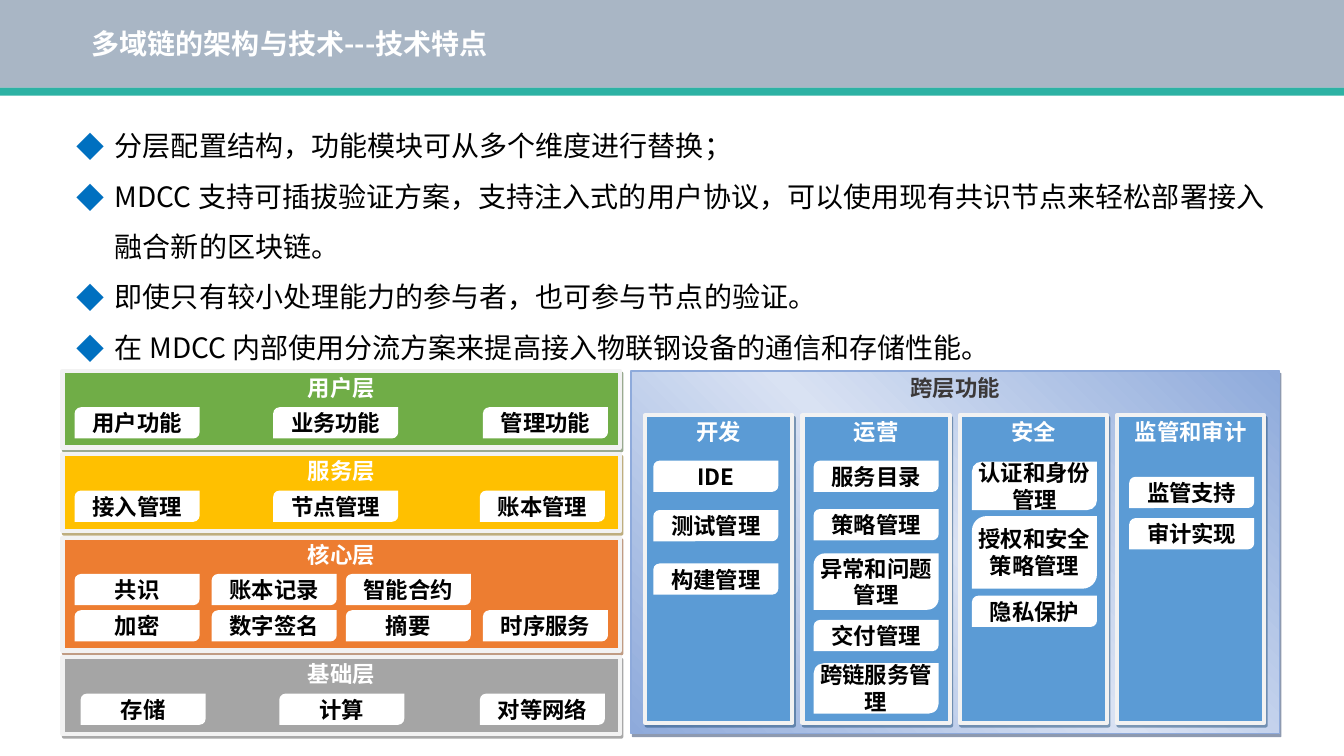
from lxml.etree import SubElement
from pptx import Presentation
from pptx.dml.color import RGBColor
from pptx.enum.shapes import MSO_SHAPE
from pptx.enum.text import MSO_ANCHOR, MSO_AUTO_SIZE, PP_ALIGN
from pptx.oxml.ns import qn
from pptx.util import Inches, Pt

FONT = "Noto Sans CJK SC"
COLORS = {
    "band": "556F8C", "rule": "2DB2A4", "bullet": "0070C0", "white": "FFFFFF",
    "black": "000000", "edge": "F2F2F2", "user": "70AD47", "service": "FFC000",
    "core": "ED7D31", "base": "A5A5A5", "tower": "5B9BD5", "cross": "8EAADB",
    "cross_light": "D9E2F3", "cross_text": "3B3838",
}
SHADOWS = {"user": "375623", "service": "7F5F00", "core": "823B0B",
           "base": "525252", "tower": "1F4D78", "cross": "1F3763"}

TITLE = "多域链的架构与技术---技术特点"
BULLETS = [
    "分层配置结构，功能模块可从多个维度进行替换；",
    "MDCC 支持可插拔验证方案，支持注入式的用户协议，可以使用现有共识节点来轻松部署接入融合新的区块链。",
    "即使只有较小处理能力的参与者，也可参与节点的验证。",
    "在 MDCC 内部使用分流方案来提高接入物联钢设备的通信和存储性能。",
]
# name, colour key, height, tile column lefts, tile rows
LAYERS = [
    ("用户层", "user", 0.76, (0.74, 2.71, 4.79), [("用户功能", "业务功能", "管理功能")]),
    ("服务层", "service", 0.76, (0.74, 2.71, 4.76), [("接入管理", "节点管理", "账本管理")]),
    ("核心层", "core", 1.12, (0.74, 2.1, 3.43, 4.79),
     [("共识", "账本记录", "智能合约"), ("加密", "数字签名", "摘要", "时序服务")]),
    ("基础层", "base", 0.76, (0.8, 2.77, 4.76), [("存储", "计算", "对等网络")]),
]
TILE_WIDTH, TILE_HEIGHT = 1.24, 0.31
# name, tile inset, tiles as (label, top, height)
TOWERS = [
    ("开发", 0.08, [("IDE", 4.57, TILE_HEIGHT), ("测试管理", 5.06, TILE_HEIGHT),
                  ("构建管理", 5.59, TILE_HEIGHT)]),
    ("运营", 0.11, [("服务目录", 4.57, TILE_HEIGHT), ("策略管理", 5.05, TILE_HEIGHT),
                  ("异常和问题管理", 5.49, 0.56), ("交付管理", 6.15, TILE_HEIGHT),
                  ("跨链服务管理", 6.58, 0.5)]),
    ("安全", 0.12, [("认证和身份管理", 4.58, 0.48), ("授权和安全策略管理", 5.12, 0.72),
                  ("隐私保护", 5.91, TILE_HEIGHT)]),
    ("监管和审计", 0.12, [("监管支持", 4.73, TILE_HEIGHT), ("审计实现", 5.14, TILE_HEIGHT)]),
]
SLIDE_WIDTH, SLIDE_HEIGHT = 13.33, 7.5
BAND_HEIGHT, RULE_HEIGHT = 0.87, 0.08
DIAGRAM_TOP, LAYER_LEFT, LAYER_WIDTH, LAYER_GAP = 3.68, 0.62, 5.53, 0.067
TILE_OFFSET, TILE_PITCH = 0.36, 0.36
TOWER_LEFT, TOWER_TOP, TOWER_WIDTH, TOWER_HEIGHT, TOWER_PITCH = 6.4, 4.12, 1.46, 3.05, 1.56


def rgb(name):
    return RGBColor.from_string(COLORS[name])


def move(shape, left, top, width, height):
    shape.left, shape.top = Inches(left), Inches(top)
    shape.width, shape.height = Inches(width), Inches(height)


def add_span(para, text, size, color, bold=False):
    span = para.add_run()
    span.text = text
    span.font.size, span.font.bold, span.font.name = Pt(size), bold, FONT
    span.font.color.rgb = rgb(color)
    SubElement(span.font._element, qn("a:ea"), typeface=FONT)


def add_box(slide, kind, place, fill):
    box = slide.shapes.add_shape(kind, *(Inches(length) for length in place))
    box.fill.solid()
    box.fill.fore_color.rgb = rgb(fill)
    box.line.fill.background()
    box.shadow.inherit = False
    return box


def label(box, text, color, anchor, side, edge):
    frame = box.text_frame
    frame.word_wrap, frame.vertical_anchor = True, anchor
    frame.margin_left = frame.margin_right = Inches(side)
    frame.margin_top = frame.margin_bottom = Inches(edge)
    frame.paragraphs[0].alignment = PP_ALIGN.CENTER
    add_span(frame.paragraphs[0], text, 16, color, True)


def add_panel(slide, text, place, fill, line="edge", width=3, color="white"):
    """Add a rectangle with its heading at the top and a hard shadow."""
    panel = add_box(slide, MSO_SHAPE.RECTANGLE, place, fill)
    panel.line.color.rgb, panel.line.width = rgb(line), Pt(width)
    effects = panel._element.spPr.find(qn("a:effectLst"))
    shadow = SubElement(effects, qn("a:outerShdw"), blurRad="0", dist=str(Pt(2.2)),
                        dir=str(63 * 60000), algn="ctr", rotWithShape="0")
    tint = SubElement(shadow, qn("a:srgbClr"), val=SHADOWS[fill])
    SubElement(tint, qn("a:alpha"), val="50000")
    label(panel, text, color, MSO_ANCHOR.TOP, 0.07, 0.03)
    return panel


def add_tile(slide, text, left, top, height=TILE_HEIGHT):
    tile = add_box(slide, MSO_SHAPE.ROUND_2_DIAG_RECTANGLE,
                   (left, top, TILE_WIDTH, height), "white")
    tile.adjustments[0] = 0.2
    label(tile, text, "black", MSO_ANCHOR.MIDDLE, 0, 0)


def add_header(slide):
    rule = add_box(slide, MSO_SHAPE.RECTANGLE,
                   (0, BAND_HEIGHT, SLIDE_WIDTH, RULE_HEIGHT), "rule")
    band = add_box(slide, MSO_SHAPE.RECTANGLE, (0, 0, SLIDE_WIDTH, BAND_HEIGHT), "band")
    tint = band._element.spPr.find(qn("a:solidFill"))[0]
    SubElement(tint, qn("a:alpha"), val="50000")
    for position, bar in enumerate((rule, band), start=2):  # behind the title
        slide.shapes._spTree.insert(position, bar._element)

    title = slide.shapes.title
    move(title, 0.81, 0.25, 11.5, 0.62)
    frame = title.text_frame
    frame.vertical_anchor, frame.auto_size = MSO_ANCHOR.TOP, MSO_AUTO_SIZE.NONE
    para = frame.paragraphs[0]
    para.alignment, para.line_spacing = PP_ALIGN.LEFT, 0.9
    add_span(para, TITLE, 20, "white", True)


def add_bullets(slide):
    body = slide.placeholders[1]
    move(body, 0.66, 1.06, 12.02, 2.63)
    frame = body.text_frame
    frame.auto_size = MSO_AUTO_SIZE.SHAPE_TO_FIT_TEXT
    for index, text in enumerate(BULLETS):
        para = frame.add_paragraph() if index else frame.paragraphs[0]
        para.line_spacing, para.space_before = 1.5, Pt(0)
        properties = para._p.get_or_add_pPr()
        properties.set("marL", str(Inches(0.38)))
        properties.set("indent", str(-Inches(0.38)))
        tint = SubElement(properties, qn("a:buClr"))
        SubElement(tint, qn("a:srgbClr"), val=COLORS["bullet"])
        SubElement(properties, qn("a:buFont"), typeface=FONT)
        SubElement(properties, qn("a:buChar"), char="◆")
        add_span(para, text, 20, "black")


def add_layers(slide):
    top = DIAGRAM_TOP
    for name, fill, height, columns, rows in LAYERS:
        add_panel(slide, name, (LAYER_LEFT, top, LAYER_WIDTH, height), fill)
        for row, names in enumerate(rows):
            for left, text in zip(columns, names):
                add_tile(slide, text, left, top + TILE_OFFSET + row * TILE_PITCH)
        top += height + LAYER_GAP


def add_towers(slide):
    cross = add_panel(slide, "跨层功能", (6.26, DIAGRAM_TOP, 6.43, 3.6),
                      "cross", "cross", 1, "cross_text")
    cross.fill.gradient()
    cross.fill.gradient_angle = 45
    stops = cross.fill._xPr.find(qn("a:gradFill")).find(qn("a:gsLst"))
    stops.clear()
    for share, color in ((0, "cross"), (50, "cross_light"), (100, "cross")):
        stop = SubElement(stops, qn("a:gs"), pos=str(share * 1000))
        SubElement(stop, qn("a:srgbClr"), val=COLORS[color])
    for index, (name, inset, tiles) in enumerate(TOWERS):
        left = TOWER_LEFT + index * TOWER_PITCH
        add_panel(slide, name, (left, TOWER_TOP, TOWER_WIDTH, TOWER_HEIGHT), "tower")
        for text, top, height in tiles:
            add_tile(slide, text, left + inset, top, height)


def main():
    deck = Presentation()
    deck.slide_width, deck.slide_height = Inches(SLIDE_WIDTH), Inches(SLIDE_HEIGHT)
    slide = deck.slides.add_slide(deck.slide_layouts[1])
    add_header(slide)
    add_bullets(slide)
    add_layers(slide)
    add_towers(slide)
    deck.save("out.pptx")


if __name__ == "__main__":
    main()
